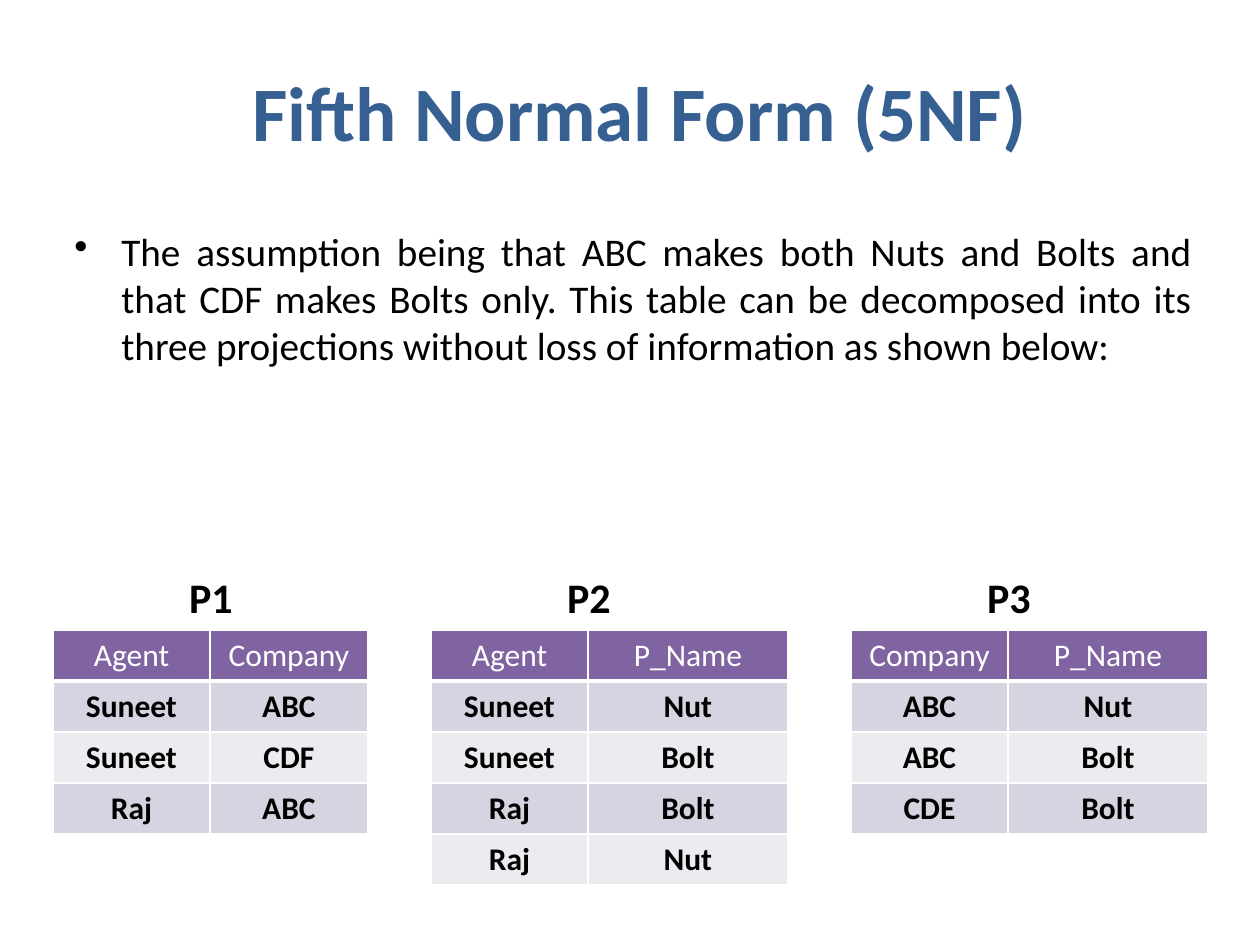
from dataclasses import dataclass

from lxml import etree
from pptx import Presentation
from pptx.dml.color import RGBColor
from pptx.enum.text import MSO_ANCHOR, PP_ALIGN
from pptx.oxml.ns import qn
from pptx.util import Pt

CENTER, JUSTIFY = PP_ALIGN.CENTER, PP_ALIGN.JUSTIFY
TOP, MIDDLE = MSO_ANCHOR.TOP, MSO_ANCHOR.MIDDLE

# Content
TITLE = "Fifth Normal Form (5NF)"
BODY = (
    "The assumption being that ABC makes both Nuts and Bolts and that CDF makes "
    "Bolts only. This table can be decomposed into its three projections without "
    "loss of information as shown below:"
)
# Label, left edge, column widths, rows (header first)
PROJECTIONS = [
    ("P1", 53, (157, 158),
     [("Agent", "Company"), ("Suneet", "ABC"), ("Suneet", "CDF"), ("Raj", "ABC")]),
    ("P2", 431, (157, 200),
     [("Agent", "P_Name"), ("Suneet", "Nut"), ("Suneet", "Bolt"),
      ("Raj", "Bolt"), ("Raj", "Nut")]),
    ("P3", 851, (157, 200),
     [("Company", "P_Name"), ("ABC", "Nut"), ("ABC", "Bolt"), ("CDE", "Bolt")]),
]


@dataclass(frozen=True)
class Theme:
    font: str = "Calibri"
    title: str = "376092"
    text: str = "000000"
    light: str = "FFFFFF"
    header: str = "8064A2"
    bands: tuple = ("D8D3E0", "EDEAF0")
    title_size: float = 44
    body_size: float = 22.4
    label_size: float = 24
    cell_size: float = 18


THEME = Theme()

# Layout in px
PAGE_WIDTH, PAGE_HEIGHT = 1260, 945
TITLE_BOX = (73, 32, 1134, 157)
BODY_BOX = (62, 221, 1144, 157)
BULLET_INDENT = 47
TABLE_TOP, ROW_HEIGHT = 630, 51
LABEL_TOP, LABEL_WIDTH, LABEL_HEIGHT = 565, 100, 65


def px(length):
    return round(length * 914400 / 126)


def style(para, size, color, bold=False, align=CENTER):
    para.alignment = align
    font = para.font
    font.name, font.size, font.bold = THEME.font, Pt(size), bold
    font.color.rgb = RGBColor.from_string(color)


def add_text(page, frame, text, size, color, bold=False, align=CENTER, anchor=TOP):
    box = page.shapes.add_textbox(*map(px, frame))
    box.text_frame.word_wrap = True
    box.text_frame.vertical_anchor = anchor
    para = box.text_frame.paragraphs[0]
    para.text = text
    style(para, size, color, bold, align)
    return para


def add_bullet(para):
    properties = para._p.get_or_add_pPr()
    properties.set("marL", str(px(BULLET_INDENT)))
    properties.set("indent", str(-px(BULLET_INDENT)))
    bullet = etree.Element(qn("a:buChar"), char="•")
    properties.insert_element_before(bullet, "a:tabLst", "a:defRPr", "a:extLst")


def set_borders(cell, bottom):
    properties = cell._tc.get_or_add_tcPr()
    widths = {"a:lnL": 1, "a:lnR": 1, "a:lnT": 1, "a:lnB": bottom}
    for position, (tag, width) in enumerate(widths.items()):
        line = etree.Element(qn(tag), w=str(Pt(width)))
        fill = etree.SubElement(line, qn("a:solidFill"))
        etree.SubElement(fill, qn("a:srgbClr"), val=THEME.light)
        properties.insert(position, line)


def add_projection(page, label, left, widths, rows):
    # The label is centred over the line between the columns
    label_left = left + widths[0] + 1 - LABEL_WIDTH // 2
    add_text(page, (label_left, LABEL_TOP, LABEL_WIDTH, LABEL_HEIGHT),
             label, THEME.label_size, THEME.text, bold=True)

    frame = (left, TABLE_TOP, sum(widths), ROW_HEIGHT * len(rows))
    table = page.shapes.add_table(len(rows), len(widths), *map(px, frame)).table
    for column, width in zip(table.columns, widths):
        column.width = px(width)
    for r, values in enumerate(rows):
        table.rows[r].height = px(ROW_HEIGHT)
        is_header = r == 0
        fill = THEME.header if is_header else THEME.bands[(r - 1) % 2]
        color = THEME.light if is_header else THEME.text
        for c, value in enumerate(values):
            cell = table.cell(r, c)
            cell.text = value
            style(cell.text_frame.paragraphs[0], THEME.cell_size, color, not is_header)
            cell.fill.solid()
            cell.fill.fore_color.rgb = RGBColor.from_string(fill)
            set_borders(cell, bottom=3 if is_header else 1)


def main():
    deck = Presentation()
    deck.slide_width, deck.slide_height = px(PAGE_WIDTH), px(PAGE_HEIGHT)
    page = deck.slides.add_slide(deck.slide_layouts[6])

    # Heading and explanation
    add_text(page, TITLE_BOX, TITLE, THEME.title_size, THEME.title,
             bold=True, anchor=MIDDLE)
    add_bullet(add_text(page, BODY_BOX, BODY, THEME.body_size, THEME.text,
                        align=JUSTIFY))

    # The three projections
    for projection in PROJECTIONS:
        add_projection(page, *projection)

    deck.save("out.pptx")


if __name__ == "__main__":
    main()
